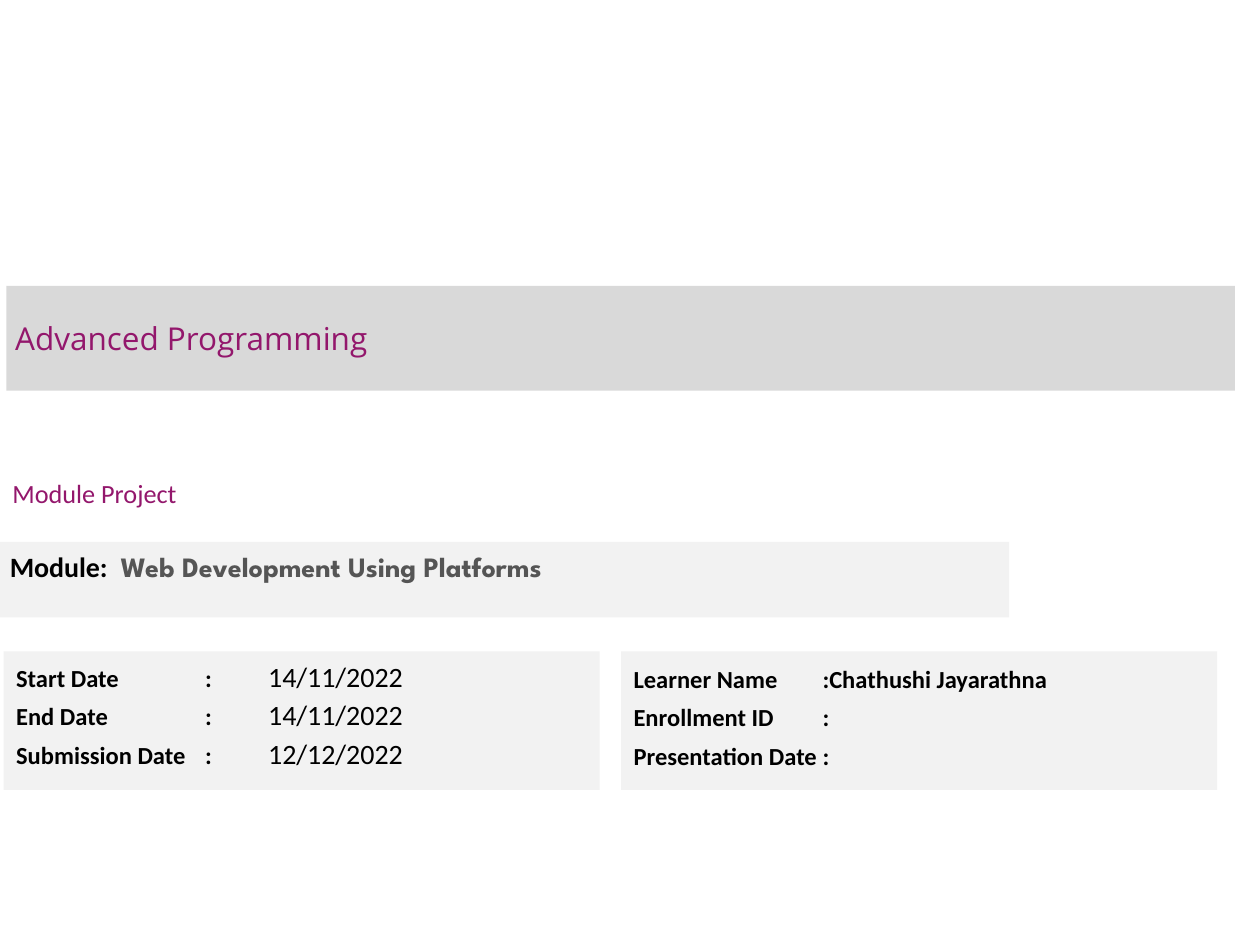
import pptx
import pptx.util
import pptx.dml.color
import pptx.enum.shapes
import pptx.enum.text
import pptx.oxml.ns
import lxml.etree

Inches, Pt = pptx.util.Inches, pptx.util.Pt
Anchor = pptx.enum.text.MSO_ANCHOR

# Each style is (font, size, bold, colour)
THEME = {
    "title": ("Open Sans", 18, False, "93176C"),
    "heading": ("Calibri", 15, False, "93176C"),
    "module": ("Calibri", 16, True, "000000"),
    "name": ("League Spartan", 16, True, "555555"),
    "label": ("Calibri", 14, True, "000000"),
    "date": ("Calibri", 16, False, "000000"),
    "bar": "D9D9D9",
    "panel": "F2F2F2",
}

TITLE = "Advanced Programming"
HEADING = "Module Project"
MODULE = ("Module:", "Web Development Using Platforms")
DATES = [
    ("Start Date", "14/11/2022"),
    ("End Date", "14/11/2022"),
    ("Submission Date", "12/12/2022"),
]
LEARNER = [
    ("Learner Name", "Chathushi Jayarathna"),
    ("Enrollment ID", ""),
    ("Presentation Date", ""),
]

PANEL_TOP, PANEL_WIDTH, PANEL_HEIGHT = 5.17, 4.73, 1.1
PANEL_LEFT, PANEL_STEP = 0.03, 4.9
TABS = (1.5, 2)


def style(font, key):
    font.name, size, font.bold, color = THEME[key]
    font.size = Pt(size)
    font.color.rgb = pptx.dml.color.RGBColor.from_string(color)


def add_box(slide, place, fill=None, anchor=Anchor.TOP, inset=(0.1, 0.05)):
    """Add a text area, filled if a theme colour is named; return its frame."""
    place = [Inches(part) for part in place]
    if fill:
        box = slide.shapes.add_shape(
            pptx.enum.shapes.MSO_SHAPE.RECTANGLE, *place)
        box.shadow.inherit = False
        box.fill.solid()
        box.fill.fore_color.rgb = pptx.dml.color.RGBColor.from_string(THEME[fill])
        box.line.fill.background()
    else:
        box = slide.shapes.add_textbox(*place)
    frame = box.text_frame
    frame.word_wrap = True
    frame.vertical_anchor = anchor
    frame.margin_left = frame.margin_right = Inches(inset[0])
    frame.margin_top = frame.margin_bottom = Inches(inset[1])
    return frame


def add_tabs(para, stops):
    props = para._p.get_or_add_pPr()
    tabs = lxml.etree.SubElement(props, pptx.oxml.ns.qn("a:tabLst"))
    for stop in stops:
        lxml.etree.SubElement(tabs, pptx.oxml.ns.qn("a:tab"),
                              pos=str(Inches(stop)), algn="l")


def write_lines(frame, lines, stops=()):
    """Write one paragraph per line; a line is a list of (text, style key)."""
    for index, line in enumerate(lines):
        para = frame.add_paragraph() if index else frame.paragraphs[0]
        para.alignment = pptx.enum.text.PP_ALIGN.LEFT
        if stops:
            add_tabs(para, stops)
            para.line_spacing = Pt(18)
            para.space_before = Pt(2 if index else 0)
            para.space_after = Pt(2)
        keys = {key for _, key in line}
        if len(keys) == 1:
            style(para.font, keys.pop())
        for text, key in line:
            run = para.add_run()
            run.text = text
            if len(line) > 1:
                style(run.font, key)


def main():
    deck = pptx.Presentation()
    deck.slide_width, deck.slide_height = Inches(10), Inches(7.5)
    slide = deck.slides.add_slide(deck.slide_layouts[6])

    bar = add_box(slide, (0.05, 2.27, 9.75, 0.83), "bar",
                  Anchor.MIDDLE, (0.07, 0.04))
    write_lines(bar, [[(TITLE, "title")]])

    heading = add_box(slide, (0, 3.6, 6.42, 0.62), anchor=Anchor.MIDDLE)
    write_lines(heading, [[(HEADING, "heading")]])

    module = add_box(slide, (-0.02, 4.3, 8.03, 0.6), "panel", inset=(0.1, 0.08))
    label, name = MODULE
    write_lines(module, [[(label + "\t", "module"), (name, "name")]], (0.88,))

    dates = [[(f"{label}\t:\t", "label"), (date, "date")]
             for label, date in DATES]
    learner = [[(f"{label}\t:{value}", "label")] for label, value in LEARNER]
    for index, lines in enumerate((dates, learner)):
        place = (PANEL_LEFT + index * PANEL_STEP, PANEL_TOP,
                 PANEL_WIDTH, PANEL_HEIGHT)
        panel = add_box(slide, place, "panel", inset=(0.1, 0.08))
        write_lines(panel, lines, TABS)

    deck.save("out.pptx")


if __name__ == "__main__":
    main()
